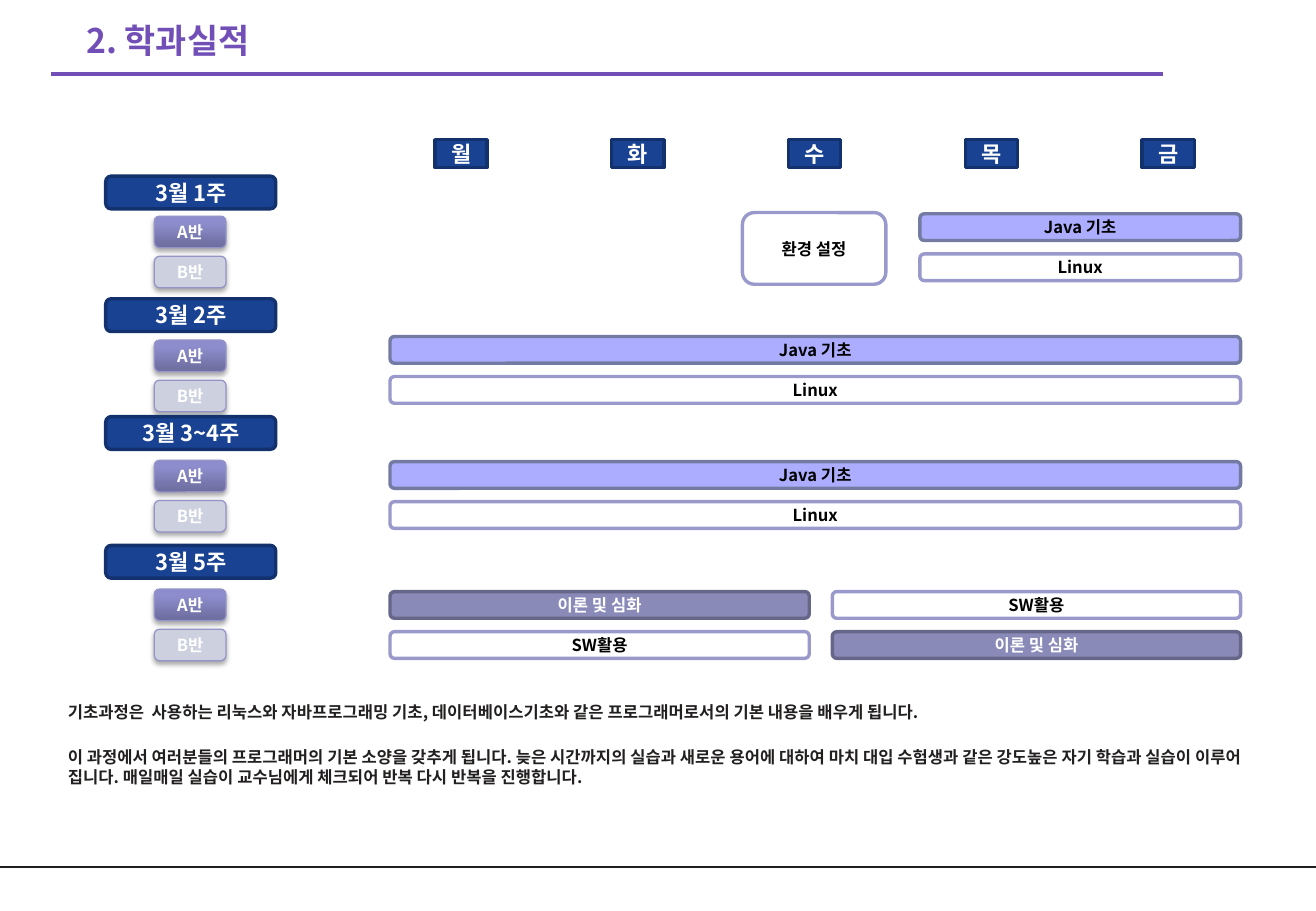
from lxml import etree
from pptx import Presentation
from pptx.dml.color import RGBColor
from pptx.enum.shapes import MSO_CONNECTOR, MSO_SHAPE
from pptx.enum.text import MSO_ANCHOR, MSO_AUTO_SIZE, PP_ALIGN
from pptx.oxml.ns import qn
from pptx.util import Inches, Pt

RECT, ROUND = MSO_SHAPE.RECTANGLE, MSO_SHAPE.ROUNDED_RECTANGLE
LEFT, CENTER = PP_ALIGN.LEFT, PP_ALIGN.CENTER
TOP, MIDDLE = MSO_ANCHOR.TOP, MSO_ANCHOR.MIDDLE
FONT = "Noto Sans CJK KR"

COLORS = {
    "purple": "724FB7", "ink": "221F1F", "black": "000000", "white": "FFFFFF",
    "navy": "194293", "navy_edge": "12316D", "java": "ADADFF", "java_edge": "737BA3",
    "edge": "9999CC", "theory": "8A8AB9", "theory_edge": "666689",
    "badge_dark": "6C6C9E", "badge_light": "8D8DCD", "badge_pale": "CDD0DE",
    "badge_edge": "9494C9",
}
STYLES = {
    "header": {"fill": "navy", "edge": "navy_edge", "color": "white", "size": 13, "line": 2},
    "java": {"fill": "java", "edge": "java_edge", "color": "black", "size": 9.8, "line": 2},
    "plain": {"fill": "white", "edge": "edge", "color": "black", "size": 9.8, "line": 2},
    "theory": {"fill": "theory", "edge": "theory_edge", "color": "white", "size": 9.8, "line": 2},
    "badge": {"fill": "badge_pale", "edge": "badge_edge", "color": "white", "size": 9.8, "line": 0.75},
}
DAYS = ["월", "화", "수", "목", "금"]
ROW_STEP = 0.33
JAVA, LINUX = ("Java 기초", "java"), ("Linux", "plain")
THEORY, SW = ("이론 및 심화", "theory"), ("SW활용", "plain")
FULL, LATE = (3.21, 7), (7.57, 2.64)
FIRST_HALF, SECOND_HALF = (3.21, 3.45), (6.85, 3.36)
WEEKS = [
    ("3월 1주", 1.45, 1.78, 1.76, [(0, LATE, JAVA), (1, LATE, LINUX)]),
    ("3월 2주", 2.46, 2.8, 2.77, [(0, FULL, JAVA), (1, FULL, LINUX)]),
    ("3월 3~4주", 3.43, 3.79, 3.8, [(0, FULL, JAVA), (1, FULL, LINUX)]),
    ("3월 5주", 4.49, 4.85, 4.87, [(0, FIRST_HALF, THEORY), (0, SECOND_HALF, SW),
                                 (1, FIRST_HALF, SW), (1, SECOND_HALF, THEORY)]),
]
NOTES = [
    "기초과정은  사용하는 리눅스와 자바프로그래밍 기초, 데이터베이스기초와 같은 프로그래머로서의 기본 내용을 배우게 됩니다.",
    "이 과정에서 여러분들의 프로그래머의 기본 소양을 갖추게 됩니다. 늦은 시간까지의 실습과 새로운 용어에 대하여 "
    "마치 대입 수험생과 같은 강도높은 자기 학습과 실습이 이루어 집니다. 매일매일 실습이 교수님에게 체크되어 "
    "반복 다시 반복을 진행합니다.",
]


def rgb(name):
    return RGBColor.from_string(COLORS[name])


def set_attrs(obj, values):
    for name, value in values.items():
        setattr(obj, name, value)


def write(p, text, size, color, align=LEFT):
    p.alignment = align
    r = p.add_run()
    r.text = text
    set_attrs(r.font, {"size": Pt(size), "bold": True, "name": FONT})
    r.font.color.rgb = rgb(color)
    etree.SubElement(r.font._element, qn("a:ea"), typeface=FONT)


def set_frame(tf, anchor, wrap, inset_x, inset_y):
    set_attrs(tf, {
        "auto_size": MSO_AUTO_SIZE.NONE, "vertical_anchor": anchor, "word_wrap": wrap,
        "margin_left": Inches(inset_x), "margin_right": Inches(inset_x),
        "margin_top": Inches(inset_y), "margin_bottom": Inches(inset_y),
    })


def add_box(s, text, left, top, width, height, style, kind=ROUND):
    look = STYLES[style]
    sp = s.shapes.add_shape(kind, Inches(left), Inches(top), Inches(width), Inches(height))
    sp.shadow.inherit = False
    sp.fill.solid()
    sp.fill.fore_color.rgb = rgb(look["fill"])
    sp.line.color.rgb = rgb(look["edge"])
    sp.line.width = Pt(look["line"])
    set_frame(sp.text_frame, MIDDLE, False, 0, 0)
    write(sp.text_frame.paragraphs[0], text, look["size"], look["color"], CENTER)
    return sp


def add_badge(s, text, top, shaded):
    sp = add_box(s, text, 1.27, top, 0.59, 0.26, "badge")
    if shaded:
        sp.fill.gradient()
        sp.fill.gradient_angle = 90
        stops = zip(sp.fill.gradient_stops, ("badge_dark", "badge_light"), (0, 0.8))
        for stop, color, position in stops:
            stop.color.rgb = rgb(color)
            stop.position = position
    effects = sp._element.spPr.find(qn("a:effectLst"))
    shadow = etree.SubElement(effects, qn("a:outerShdw"), blurRad=str(Pt(3.1)),
                              dist=str(Pt(1.8)), dir="5400000", rotWithShape="0")
    color = etree.SubElement(shadow, qn("a:srgbClr"), val=COLORS["black"])
    etree.SubElement(color, qn("a:alpha"), val="35000")


def add_rule(s, left, right, top, color, width):
    line = s.shapes.add_connector(MSO_CONNECTOR.STRAIGHT, Inches(left), Inches(top),
                                  Inches(right), Inches(top))
    line.line.color.rgb = rgb(color)
    line.line.width = Pt(width)
    etree.SubElement(line._element.spPr, qn("a:effectLst"))


def add_title(s, text):
    title = s.shapes.title
    set_attrs(title, {"left": Inches(0.61), "top": Inches(0.11),
                      "width": Inches(1.66), "height": Inches(0.44)})
    set_frame(title.text_frame, MIDDLE, False, 0.1, 0.05)
    write(title.text_frame.paragraphs[0], text, 20, "purple")


def add_notes(s):
    box = s.shapes.add_textbox(Inches(0.46), Inches(5.73), Inches(10), Inches(0.82))
    tf = box.text_frame
    set_frame(tf, TOP, True, 0.1, 0.05)
    for i, text in enumerate(NOTES):
        p = tf.add_paragraph() if i else tf.paragraphs[0]
        if i:
            p.space_before = Pt(15)
        write(p, text, 9.8, "ink")


def add_week(s, label, top, badge_top, bar_top, bars):
    add_box(s, label, 0.87, top, 1.4, 0.27, "header")
    for row, group in enumerate("AB"):
        add_badge(s, f"{group}반", badge_top + row * ROW_STEP, row == 0)
    for row, (left, width), (text, style) in bars:
        add_box(s, text, left, bar_top + row * ROW_STEP, width, 0.22, style)


def main():
    prs = Presentation()
    prs.slide_width, prs.slide_height = Inches(10.83), Inches(7.5)
    s = prs.slides.add_slide(prs.slide_layouts[5])
    add_rule(s, 0, 10.83, 7.14, "ink", 1)
    add_rule(s, 0.42, 9.57, 0.61, "purple", 2.25)
    add_title(s, "2. 학과실적")
    for i, day in enumerate(DAYS):
        add_box(s, day, 3.58 + i * 1.455, 1.15, 0.43, 0.23, "header", RECT)
    for week in WEEKS:
        add_week(s, *week)
    add_box(s, "환경 설정", 6.11, 1.75, 1.18, 0.59, "plain")
    add_notes(s)
    prs.save("out.pptx")


if __name__ == "__main__":
    main()
